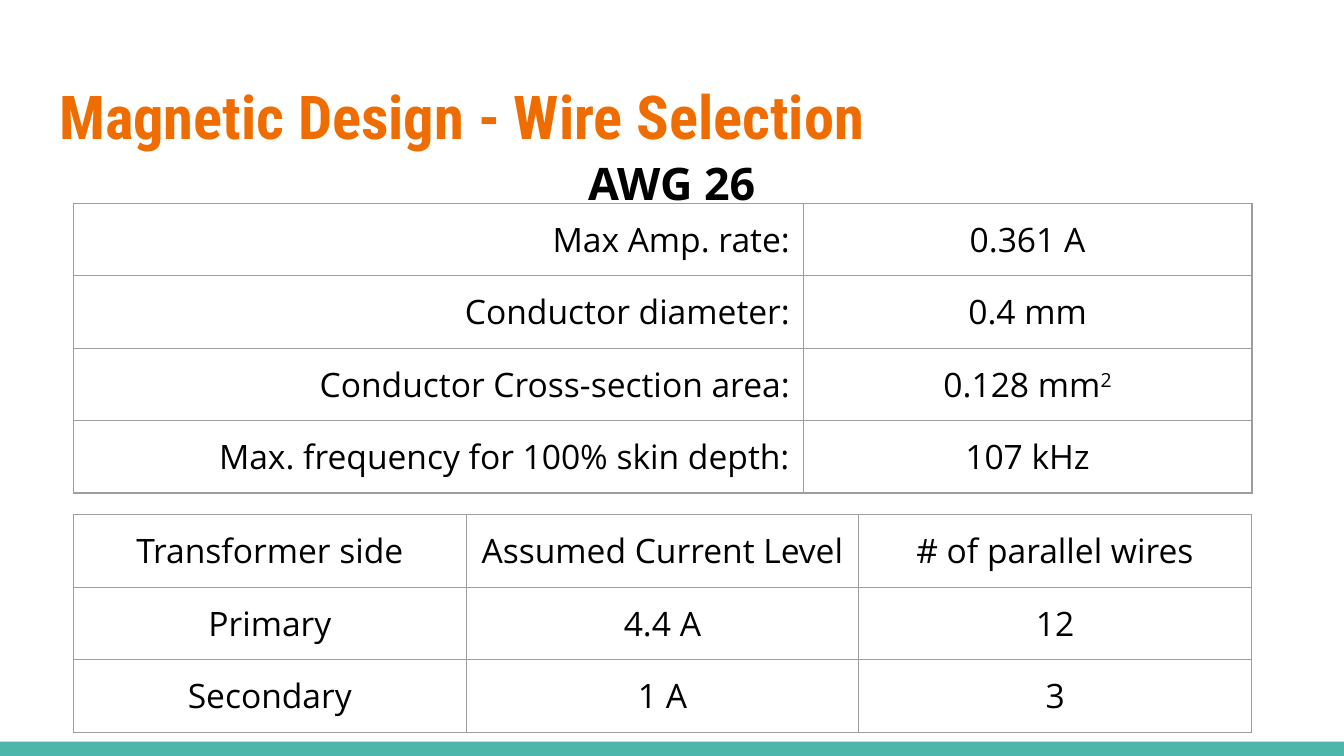
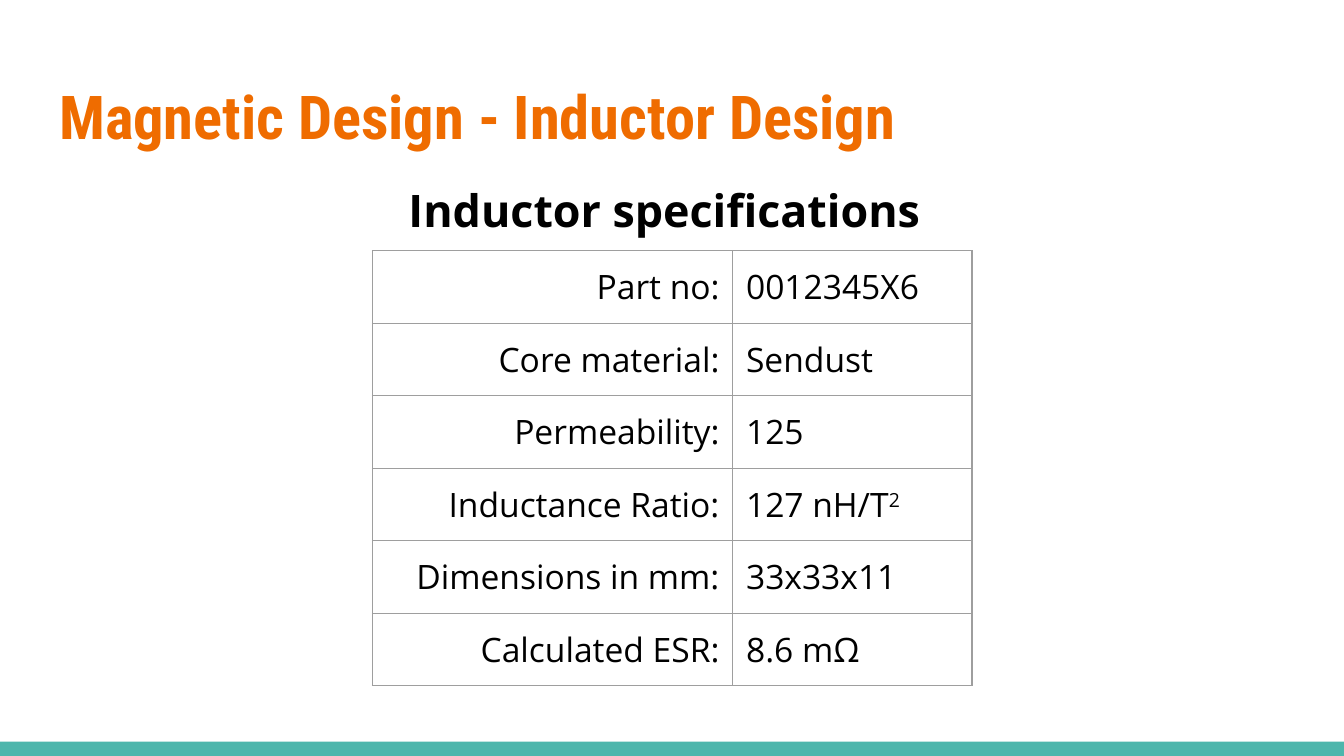
from lxml import etree
from pptx import Presentation
from pptx.dml.color import RGBColor
from pptx.enum import shapes, text
from pptx.oxml import ns
from pptx.util import Cm, Pt

ORANGE, TEAL, BLACK, GREY = "EF6C00", "4DB6AC", "000000", "9E9E9E"
TITLE_FONT, BODY_FONT = "Roboto Condensed", "Open Sans"
INSET = Cm(0.25)
ROW_HEIGHT = 1.37
LEFT, CENTER, RIGHT = (text.PP_ALIGN.LEFT, text.PP_ALIGN.CENTER,
                       text.PP_ALIGN.RIGHT)


def rgb(value):
    return RGBColor.from_string(value)


def format_run(r, size, font=BODY_FONT, color=BLACK, bold=False):
    r.font.size = Pt(size)
    r.font.name = font
    r.font.bold = bold
    r.font.color.rgb = rgb(color)


def set_insets(target):
    target.margin_left = target.margin_right = INSET
    target.margin_top = target.margin_bottom = INSET


def add_text(s, words, left, top, width, height, size=24, align=LEFT, **style):
    """Add a one-paragraph bold text box and return its text frame."""
    tf = s.shapes.add_textbox(Cm(left), Cm(top), Cm(width), Cm(height)).text_frame
    tf.word_wrap = True
    set_insets(tf)
    tf.text = words
    p = tf.paragraphs[0]
    p.alignment = align
    format_run(p.runs[0], size, bold=True, **style)
    return tf


def add_title_slide(prs, title):
    """Add a blank slide with the shared bottom band and title."""
    s = prs.slides.add_slide(prs.slide_layouts[6])
    band = s.shapes.add_shape(shapes.MSO_SHAPE.RECTANGLE, 0, Cm(14.02),
                              prs.slide_width, Cm(0.27))
    band.shadow.inherit = False
    band.fill.solid()
    band.fill.fore_color.rgb = rgb(TEAL)
    band.line.fill.background()
    tf = add_text(s, title, 0.87, 1.21, 23.67, 1.96, size=32.4,
                  font=TITLE_FONT, color=ORANGE)
    tf.vertical_anchor = text.MSO_ANCHOR.MIDDLE
    return s


def set_borders(cell):
    tc_pr = cell._tc.get_or_add_tcPr()
    for i, side in enumerate(("lnL", "lnR", "lnT", "lnB")):
        ln = etree.Element(ns.qn(f"a:{side}"), w=str(Pt(0.75)))
        fill = etree.SubElement(ln, ns.qn("a:solidFill"))
        etree.SubElement(fill, ns.qn("a:srgbClr"), val=GREY)
        tc_pr.insert(i, ln)


def fill_cell(cell, value, align):
    """Write a value; a (base, exponent) pair gets a superscript."""
    base, exponent = value if isinstance(value, tuple) else (value, "")
    cell.fill.background()
    set_insets(cell)
    set_borders(cell)
    cell.text_frame.text = base
    p = cell.text_frame.paragraphs[0]
    p.alignment = align
    if exponent:
        r = p.add_run()
        r.text = exponent
        r._r.get_or_add_rPr().set("baseline", "30000")
    for r in p.runs:
        format_run(r, 18)


def add_grid(s, rows, left, top, widths, aligns):
    """Add a bordered table with one width and alignment per column."""
    table = s.shapes.add_table(len(rows), len(widths), Cm(left), Cm(top),
                               Cm(sum(widths)), Cm(ROW_HEIGHT * len(rows))).table
    table.first_row = table.horz_banding = False
    for column, width in zip(table.columns, widths):
        column.width = Cm(width)
    for i, row in enumerate(rows):
        table.rows[i].height = Cm(ROW_HEIGHT)
        for j, value in enumerate(row):
            fill_cell(table.cell(i, j), value, aligns[j])


def add_wire_slide(prs):
    s = add_title_slide(prs, "Magnetic Design - Wire Selection")
    tf = add_text(s, "AWG 26", 0.86, 2.54, 23.67, 9.22, align=CENTER)
    tf.paragraphs[0].line_spacing = 1.15
    tf.paragraphs[0].space_after = Pt(12)
    wire_data = [
        ("Max Amp. rate:", "0.361 A"),
        ("Conductor diameter:", "0.4 mm"),
        ("Conductor Cross-section area:", ("0.128 mm", "2")),
        ("Max. frequency for 100% skin depth:", "107 kHz"),
    ]
    add_grid(s, wire_data, 1.39, 3.84, [13.79, 8.48], [RIGHT, CENTER])
    parallel_wires = [
        ("Transformer side", "Assumed Current Level", "# of parallel wires"),
        ("Primary", "4.4 A", "12"),
        ("Secondary", "1 A", "3"),
    ]
    add_grid(s, parallel_wires, 1.39, 9.73, [7.42] * 3, [CENTER] * 3)


def add_inductor_slide(prs):
    s = add_title_slide(prs, "Magnetic Design - Inductor Design")
    inductor_data = [
        ("Part no:", "0012345X6"),
        ("Core material:", "Sendust"),
        ("Permeability:", "125"),
        ("Inductance Ratio:", ("127 nH/T", "2")),
        ("Dimensions in mm:", "33x33x11"),
        ("Calculated ESR:", "8.6 mΩ"),
    ]
    add_grid(s, inductor_data, 7.04, 4.74, [6.81, 4.52], [RIGHT, LEFT])
    add_text(s, "Inductor specifications", 7.47, 3.2, 10.46, 1.55)


def main():
    prs = Presentation()
    prs.slide_width, prs.slide_height = Cm(25.4), Cm(14.29)
    add_wire_slide(prs)
    add_inductor_slide(prs)
    prs.save("out.pptx")


if __name__ == "__main__":
    main()
